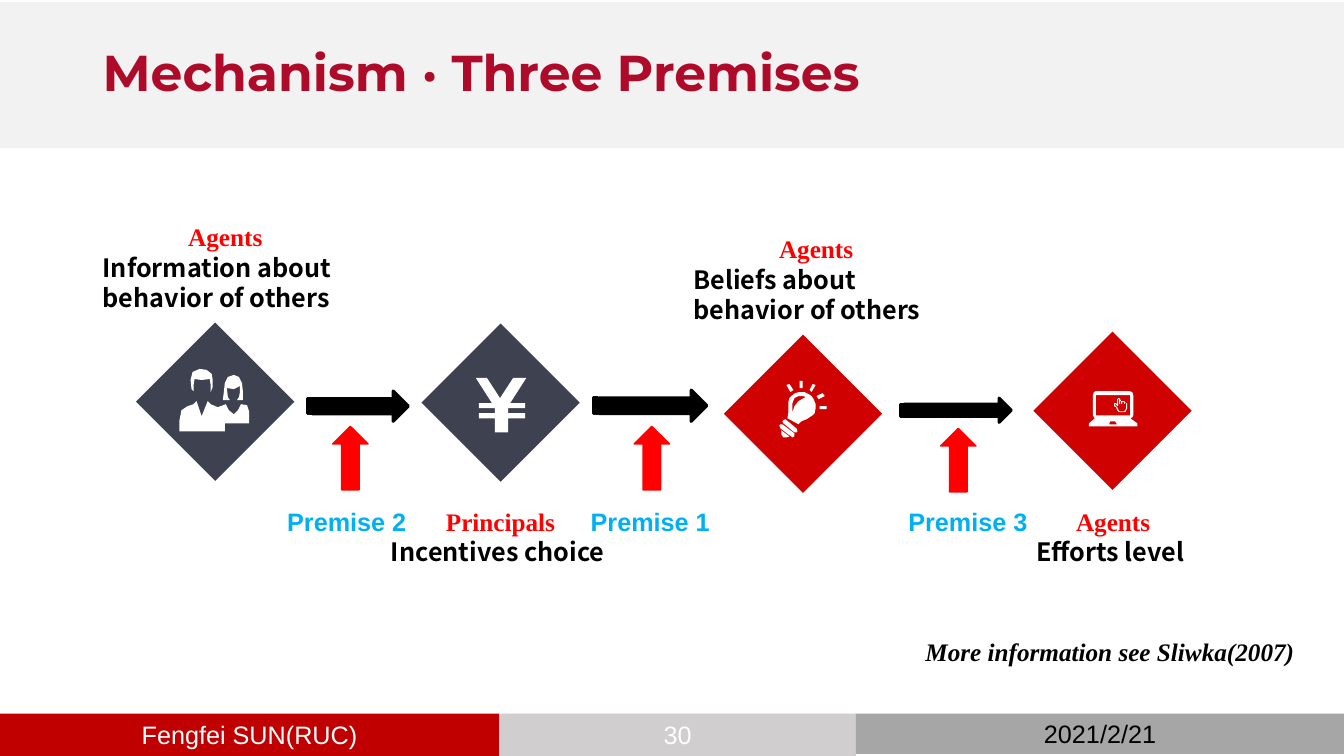
from pptx import Presentation
from pptx.dml.color import RGBColor
from pptx.enum.shapes import MSO_SHAPE
from pptx.enum.text import MSO_ANCHOR, PP_ALIGN
from pptx.util import Inches, Pt

CELL = Inches(0.1)  # the slide is a grid of 133.3 columns by 75 rows
COLS, ROWS = 133.3, 75
ICON_UNIT = CELL / 10

COLORS = {
    "white": "FFFFFF", "black": "000000", "band": "F2F2F2", "title": "AE0B2A",
    "author": "C00000", "number": "D0CECE", "date": "A6A6A6", "slate": "3E4150",
    "crimson": "CF0101", "red": "FF0000", "blue": "00B0F0",
}
SERIF, SANS, ARIAL, HEAD = "Times New Roman", "Noto Sans CJK SC", "Arial", "Montserrat"

# Each icon is a list of closed outlines, in tenths of a cell from its corner.
PEOPLE = [
    "2,42 8,38 14,36 17,33 22,48 28,33 31,36 38,39 46,36 49,42 54,46 58,42 61,36 67,37 "
    "69,43 69,55 45,55 45,63 0,63 0,52",
    "47,20 54,21 60,18 60,24 59,29 57,32 63,32 63,24 62,15 59,9 54,7 48,9 45,15 44,24 "
    "43,32 50,32 48,29",
    "14,23 14,17 15,11 22,12 30,11 31,17 31,24 33,19 33,12 32,6 27,2 20,1 13,4 11,12 12,21",
]
YUAN = [
    "0,0 11,0 24,20 37,0 50,0 34,25 49,25 49,30 32,30 32,35 49,35 49,40 32,40 32,54 "
    "19,54 19,40 3,40 3,35 19,35 19,30 3,30 3,25 16,25",
]
BULB = [
    "2,49 2,53 4,56 7,56 10,55",
    "15,52 15,55 13,56 1,47 0,44 1,43 3,43",
    "17,47 18,50 17,51 15,51 4,42 3,40 4,39 6,38",
    "40,28 47,28 47,25 40,25",
    "14,9 10,3 7,4 11,11",
    "23,7 23,0 20,0 20,7",
    "39,18 45,15 43,12 37,15",
    "32,11 36,4 33,3 30,9",
    "29,13 25,11 20,11 16,12 13,14 10,17 9,21 9,31 8,37 19,43 22,40 27,38 33,34 35,32 "
    "36,27 36,23 34,18 32,15",
    "13,31 13,22 15,17 19,15 24,15 26,16 19,20 15,25",
]
LAPTOP = [
    "7,0 40,0 43,1 44,4 44,24 43,26 41,27 48,32 48,35 0,35 0,32 6,27 5,26 4,24 4,4 5,1",
    "7,4 7,24 41,24 41,4",
    "21,30 20,33 28,33 26,30",
    "28,8 28,12 29,12 29,8 30,8 30,13 31,13 31,10 32,10 32,13 33,13 33,11 35,11 35,13 "
    "36,11 37,12 36,11 35,10 32,10 31,8 30,7 29,7",
    "27,12 25,12 25,15 27,16 28,19 30,21 36,21 38,17 38,12 37,12 37,17 36,19 35,20 "
    "30,20 28,16 26,14 26,13 27,13",
    "27,13 27,14 28,14 28,15 29,15 29,12 28,12",
]


def rgb(name):
    return RGBColor.from_string(COLORS[name])


def grid(*cells):
    return [round(c * CELL) for c in cells]


def paint(sp, fill, line_width=0):
    sp.shadow.inherit = False
    sp.fill.solid()
    sp.fill.fore_color.rgb = rgb(fill)
    if line_width:
        sp.line.color.rgb = rgb(fill)
        sp.line.width = Pt(line_width)
    else:
        sp.line.fill.background()
    return sp


def add_preset(s, kind, box, fill, line_width=0):
    return paint(s.shapes.add_shape(kind, *grid(*box)), fill, line_width)


def write(p, text, font, color, size=18, bold=True, italic=False, align=PP_ALIGN.LEFT):
    p.alignment = align
    r = p.add_run()
    r.text = text
    r.font.name, r.font.size = font, Pt(size)
    r.font.bold, r.font.italic = bold, italic
    r.font.color.rgb = rgb(color)


def add_text(s, box, wrap=True):
    tf = s.shapes.add_textbox(*grid(*box)).text_frame
    tf.word_wrap = wrap
    return tf


def add_label(s, box, role, lines, wrap):
    """A centred red role name above left-aligned black lines."""
    tf = add_text(s, box, wrap)
    write(tf.paragraphs[0], role, SERIF, "red", align=PP_ALIGN.CENTER)
    for line in lines:
        write(tf.add_paragraph(), line, SANS, "black")


def add_icon(s, left, top, outlines):
    contours = [[tuple(map(int, xy.split(","))) for xy in o.split()] for o in outlines]
    fb = s.shapes.build_freeform(*contours[0][0], scale=ICON_UNIT)
    for i, points in enumerate(contours):
        if i:
            fb.move_to(*points[0])
        fb.add_line_segments(points[1:], close=True)
    paint(fb.convert_to_shape(*grid(left, top)), "white")


def add_title(s, text):
    box = (0, 0.2, COLS, 14.5)
    add_preset(s, MSO_SHAPE.RECTANGLE, box, "band")
    tf = add_text(s, (9.2, 0.2, 115, 14.5))
    tf.vertical_anchor = MSO_ANCHOR.MIDDLE
    tf.paragraphs[0].line_spacing = 0.9
    write(tf.paragraphs[0], text, HEAD, "title", size=36)


def add_footer(s):
    left, top = 0, 70.8
    for text, width, height, fill, color in (
        ("Fengfei SUN(RUC)", 49.5, ROWS - top, "author", "white"),
        ("30", 35.4, ROWS - top, "number", "white"),
        ("2021/2/21", 48.4, 4, "date", "black"),
    ):
        sp = add_preset(s, MSO_SHAPE.RECTANGLE, (left, top, width, height), fill)
        tf = sp.text_frame
        tf.vertical_anchor = MSO_ANCHOR.MIDDLE
        write(tf.paragraphs[0], text, ARIAL, color, bold=False, align=PP_ALIGN.CENTER)
        left += width


def add_step(s, left, top, fill, icon, icon_dx, icon_dy):
    add_preset(s, MSO_SHAPE.DIAMOND, (left, top, 15.7, 15.7), fill)
    add_icon(s, left + icon_dx, top + icon_dy, icon)


def add_premise(s, number, flow_box, up_left, up_top, text_left):
    """The black arrow between two steps, and the premise that supports it."""
    add_preset(s, MSO_SHAPE.STRIPED_RIGHT_ARROW, flow_box, "black", 2.25)
    add_preset(s, MSO_SHAPE.UP_ARROW, (up_left, up_top, 3.5, 6.3), "red", 1)
    tf = add_text(s, (text_left, 49.7, 14.1, 4))
    write(tf.paragraphs[0], f"Premise {number}", ARIAL, "blue")


def main():
    prs = Presentation()
    prs.slide_width, prs.slide_height = grid(COLS, ROWS)
    s = prs.slides.add_slide(prs.slide_layouts[6])

    add_footer(s)
    add_title(s, "Mechanism · Three Premises")

    others = "behavior of others"
    add_label(s, (9.2, 21.5, 26.3, 10.1), "Agents", ["Information about", others], True)
    add_label(s, (37.8, 49.7, 23.7, 7.1), "Principals", ["Incentives choice"], False)
    add_label(s, (67.8, 22.7, 26.3, 10.1), "Agents", ["Beliefs about", others], True)
    add_label(s, (101.8, 49.7, 17.2, 7.1), "Agents", ["Efforts level"], False)

    add_step(s, 13.5, 32, "slate", PEOPLE, 4.3, 4.5)
    add_step(s, 41.8, 32.1, "slate", YUAN, 5.4, 5.4)
    add_step(s, 71.8, 33.2, "crimson", BULB, 5.5, 4.6)
    add_step(s, 102.5, 32.9, "crimson", LAPTOP, 5.5, 5.9)

    add_premise(s, 2, (30.5, 38.8, 10, 3), 33, 42.3, 27.5)
    add_premise(s, 1, (58.9, 38.7, 11.2, 3.1), 62.9, 42.3, 57.6)
    add_premise(s, 3, (89.3, 39.5, 11, 2.4), 93.3, 42.5, 89.1)

    tf = add_text(s, (90.8, 62.6, 41.2, 4))
    write(tf.paragraphs[0], "More information see Sliwka(2007)", SERIF, "black", italic=True)
    prs.save("out.pptx")


if __name__ == "__main__":
    main()
